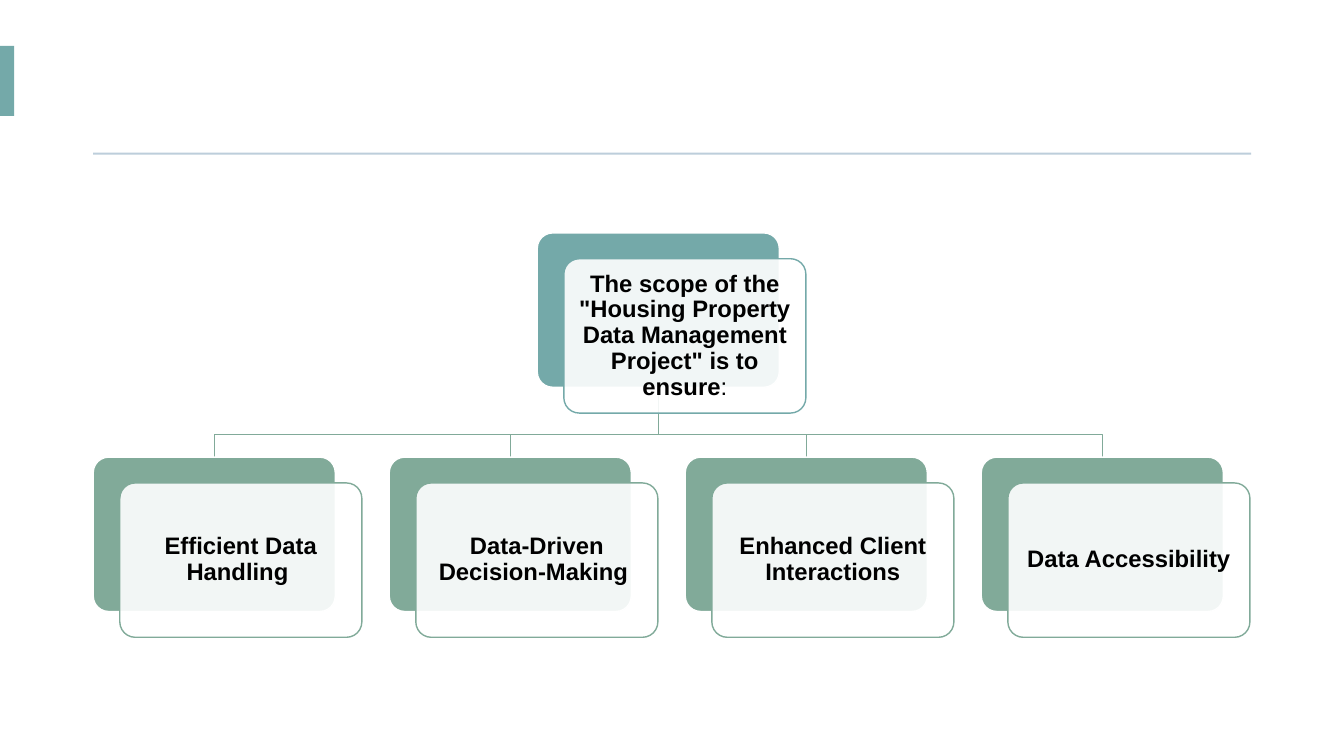
import pptx
import pptx.util
import pptx.dml.color
import pptx.enum.shapes
import pptx.enum.text
from lxml import etree

Cm, Pt = pptx.util.Cm, pptx.util.Pt
RGBColor = pptx.dml.color.RGBColor
MSO_SHAPE = pptx.enum.shapes.MSO_SHAPE

TEAL = RGBColor(0x74, 0xA9, 0xA9)
GREEN = RGBColor(0x81, 0xAA, 0x99)
RULE_BLUE = RGBColor(0xBD, 0xCE, 0xDB)
WHITE = RGBColor(0xFF, 0xFF, 0xFF)
BLACK = RGBColor(0, 0, 0)

CARD_W, CARD_H = 6.1, 3.89
SHIFT_X, SHIFT_Y = 0.67, 0.65
FIRST_LEFT, STEP = 2.35, 7.46
ROOT_TOP, BRANCH_TOP, JUNCTION_Y = 5.87, 11.52, 10.95
ROOT_LEFT = FIRST_LEFT + 1.5 * STEP

ROOT_TEXT = [('The scope of the "Housing Property Data Management Project" is to ensure', True),
             (":", False)]
BRANCHES = ["Efficient Data Handling ", "Data-Driven Decision-Making ",
            "Enhanced Client Interactions", "Data Accessibility"]

prs = pptx.Presentation()
prs.slide_width, prs.slide_height = Cm(33.87), Cm(19.05)
slide = prs.slides.add_slide(prs.slide_layouts[6])


def add_block(kind, left, top, width, height, fill, line=None):
    block = slide.shapes.add_shape(kind, Cm(left), Cm(top), Cm(width), Cm(height))
    block.shadow.inherit = False
    block.fill.solid()
    block.fill.fore_color.rgb = fill
    if line is None:
        block.line.fill.background()
    else:
        block.line.color.rgb = line
        block.line.width = Pt(1)
        block.adjustments[0] = 0.1
    return block


def add_card(left, top, color, runs):
    add_block(MSO_SHAPE.ROUNDED_RECTANGLE, left, top, CARD_W, CARD_H, color, WHITE)
    front = add_block(MSO_SHAPE.ROUNDED_RECTANGLE, left + SHIFT_X, top + SHIFT_Y,
                      CARD_W, CARD_H, WHITE, color)
    # Front card is 90 % opaque
    rgb = front.fill._xPr.find(".//" + pptx.oxml.ns.qn("a:srgbClr"))
    etree.SubElement(rgb, pptx.oxml.ns.qn("a:alpha"), val="90000")

    frame = front.text_frame
    frame_format = {"word_wrap": True, "vertical_anchor": pptx.enum.text.MSO_ANCHOR.MIDDLE}
    frame_format.update({f"margin_{side}": Cm(0.18) for side in ("left", "top", "right", "bottom")})
    for name, value in frame_format.items():
        setattr(frame, name, value)
    label = frame.paragraphs[0]
    label.alignment = pptx.enum.text.PP_ALIGN.CENTER
    label.line_spacing = 0.9
    for text, bold in runs:
        run = label.add_run()
        run.text = text
        for name, value in {"name": "Arial", "size": Pt(17), "bold": bold}.items():
            setattr(run.font, name, value)
        run.font.color.rgb = BLACK


# Accent tab and rule under the heading area
add_block(MSO_SHAPE.RECTANGLE, 0, 1.16, 0.36, 1.76, TEAL)
add_block(MSO_SHAPE.RECTANGLE, 2.35, 3.85, 29.18, 0.05, RULE_BLUE)

# Elbow lines from the root card to each branch, behind the cards
root_x, root_bottom = ROOT_LEFT + CARD_W / 2, ROOT_TOP + CARD_H
branch_lefts = [FIRST_LEFT + i * STEP for i in range(len(BRANCHES))]
for left in reversed(branch_lefts):
    branch_x = left + CARD_W / 2
    outline = slide.shapes.build_freeform(Cm(root_x), Cm(root_bottom))
    outline.add_line_segments([(Cm(root_x), Cm(JUNCTION_Y)), (Cm(branch_x), Cm(JUNCTION_Y)),
                               (Cm(branch_x), Cm(BRANCH_TOP))], close=False)
    elbow = outline.convert_to_shape()
    elbow.shadow.inherit = False
    elbow.fill.background()
    elbow.line.color.rgb = GREEN
    elbow.line.width = Pt(1)

# Root card and its branches
add_card(ROOT_LEFT, ROOT_TOP, TEAL, ROOT_TEXT)
for left, text in zip(branch_lefts, BRANCHES):
    add_card(left, BRANCH_TOP, GREEN, [(text, True)])

prs.save("out.pptx")
